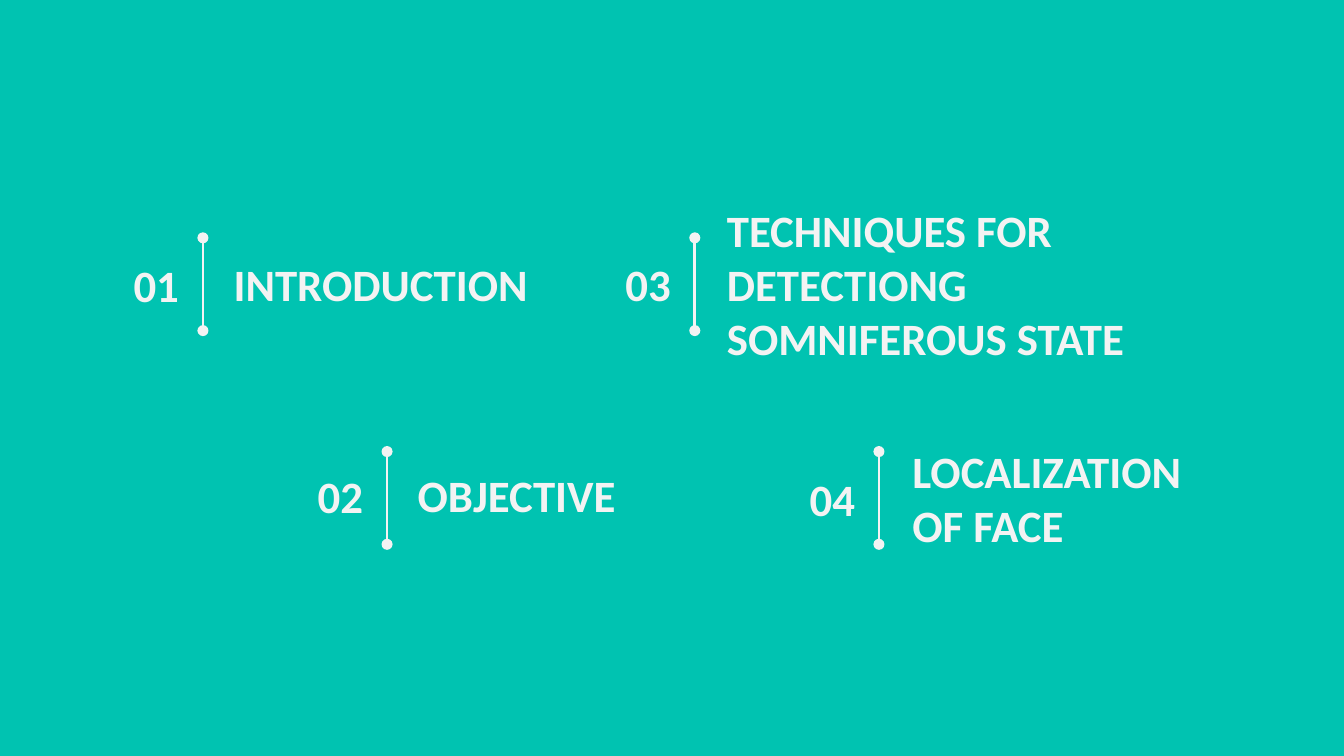
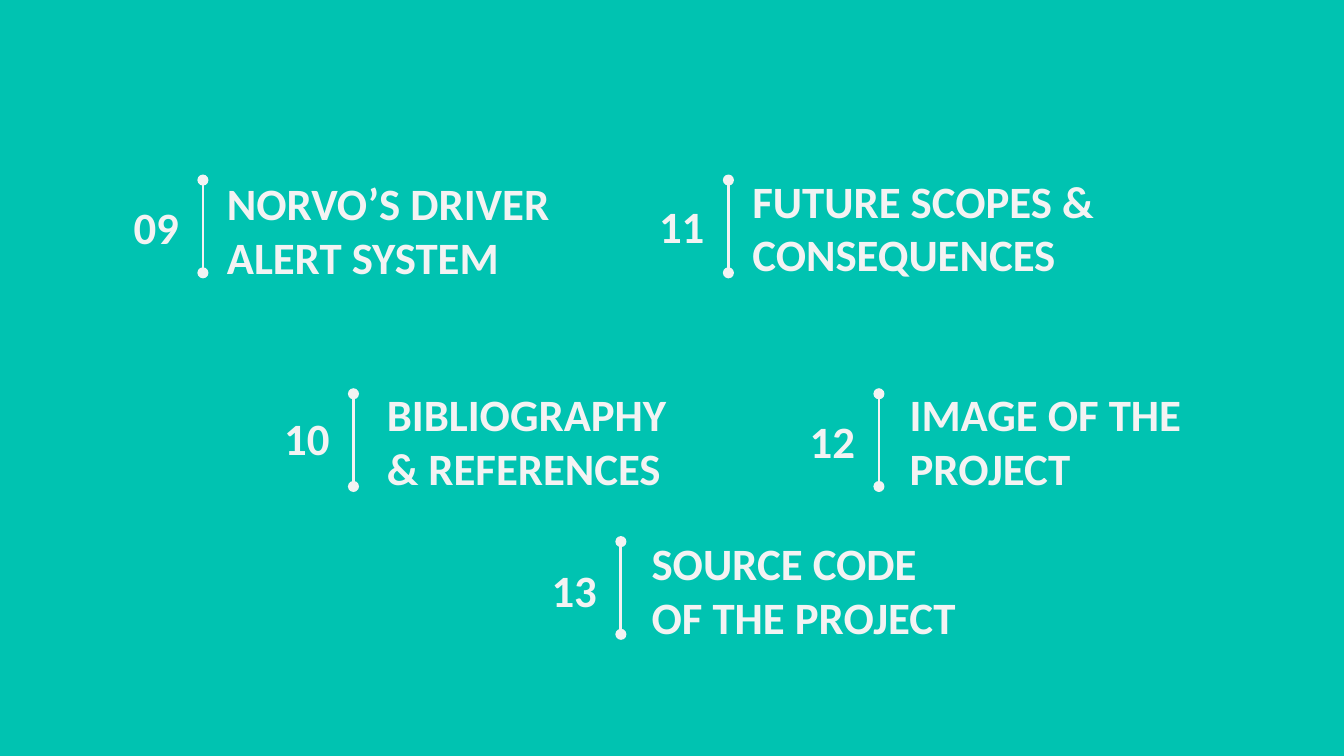
from dataclasses import dataclass

from lxml.etree import SubElement
from pptx import Presentation
from pptx.dml.color import RGBColor
from pptx.enum.shapes import MSO_CONNECTOR
from pptx.enum.text import MSO_ANCHOR, PP_ALIGN
from pptx.oxml.ns import qn
from pptx.util import Inches, Pt


@dataclass(frozen=True)
class Theme:
    background: RGBColor = RGBColor(0x00, 0xC3, 0xB1)
    ink: RGBColor = RGBColor(0xF3, 0xF3, 0xF3)
    font: str = "Calibri"
    text_size: float = 24
    rule_width: float = 1.5


@dataclass(frozen=True)
class Entry:
    number: str
    label: str
    left: float
    top: float
    label_width: float = 2.56
    label_gap: float = 0.13
    label_drop: float = 0.11
    number_drop: float = 0.12


THEME = Theme()
SLIDE_WIDTH = 10
SLIDE_HEIGHT = SLIDE_WIDTH * 9 / 16
TEXT_HEIGHT = 0.46
TEXT_INSET = 0.1
NUMBER_WIDTH = 0.66
NUMBER_GAP = 0.08
RULE_HEIGHT = 0.69

OPENING_TOPICS = [
    Entry("01", "INTRODUCTION", 1.51, 1.77),
    Entry("02", "OBJECTIVE", 2.88, 3.36, label_drop=0.09, number_drop=0.1),
    Entry("03", "TECHNIQUES FOR DETECTIONG SOMNIFEROUS STATE", 5.17, 1.77,
          label_width=3.82, label_gap=0.14, number_drop=0.11),
    Entry("04", "LOCALIZATION OF FACE", 6.54, 3.36, label_gap=0.15),
]
CLOSING_TOPICS = [
    Entry("09", "NORVO’S DRIVER ALERT SYSTEM", 1.51, 1.34,
          label_width=2.93, label_gap=0.08, label_drop=0.14),
    Entry("10", "BIBLIOGRAPHY & REFERENCES", 2.63, 2.93,
          label_gap=0.15, label_drop=0.12, number_drop=0.1),
    Entry("11", "FUTURE SCOPES & CONSEQUENCES", 5.42, 1.34,
          label_width=2.78, label_gap=0.08, label_drop=0.12, number_drop=0.11),
    Entry("12", "IMAGE OF THE PROJECT", 6.54, 2.93, label_drop=0.12),
    Entry("13", "SOURCE CODE OF THE PROJECT", 4.62, 4.03,
          label_drop=0.13, number_drop=0.13),
]


def add_text(page, text, left, top, width, alignment):
    box = page.shapes.add_textbox(
        Inches(left), Inches(top), Inches(width), Inches(TEXT_HEIGHT))
    frame = box.text_frame
    frame.word_wrap = True
    frame.vertical_anchor = MSO_ANCHOR.MIDDLE
    frame.margin_left = frame.margin_right = Inches(TEXT_INSET)
    frame.margin_top = frame.margin_bottom = Inches(TEXT_INSET)
    para = frame.paragraphs[0]
    para.text = text
    para.alignment = alignment
    para.font.name = THEME.font
    para.font.size = Pt(THEME.text_size)
    para.font.bold = True
    para.font.color.rgb = THEME.ink


def add_rule(page, left, top):
    rule = page.shapes.add_connector(
        MSO_CONNECTOR.STRAIGHT, Inches(left), Inches(top),
        Inches(left), Inches(top + RULE_HEIGHT))
    rule.line.color.rgb = THEME.ink
    rule.line.width = Pt(THEME.rule_width)
    properties = rule.element.spPr
    outline = properties.find(qn("a:ln"))
    for end in ("a:headEnd", "a:tailEnd"):
        SubElement(outline, qn(end), type="oval")
    SubElement(properties, qn("a:effectLst"))


def add_entry(page, entry):
    add_text(page, entry.number, entry.left - NUMBER_GAP - NUMBER_WIDTH,
             entry.top + entry.number_drop, NUMBER_WIDTH, PP_ALIGN.RIGHT)
    add_rule(page, entry.left, entry.top)
    add_text(page, entry.label, entry.left + entry.label_gap,
             entry.top + entry.label_drop, entry.label_width, PP_ALIGN.LEFT)


def add_contents_page(deck, entries):
    page = deck.slides.add_slide(deck.slide_layouts[6])
    page.background.fill.solid()
    page.background.fill.fore_color.rgb = THEME.background
    for entry in entries:
        add_entry(page, entry)


def main():
    deck = Presentation()
    deck.slide_width = Inches(SLIDE_WIDTH)
    deck.slide_height = Inches(SLIDE_HEIGHT)
    for entries in (OPENING_TOPICS, CLOSING_TOPICS):
        add_contents_page(deck, entries)
    deck.save("out.pptx")


if __name__ == "__main__":
    main()
